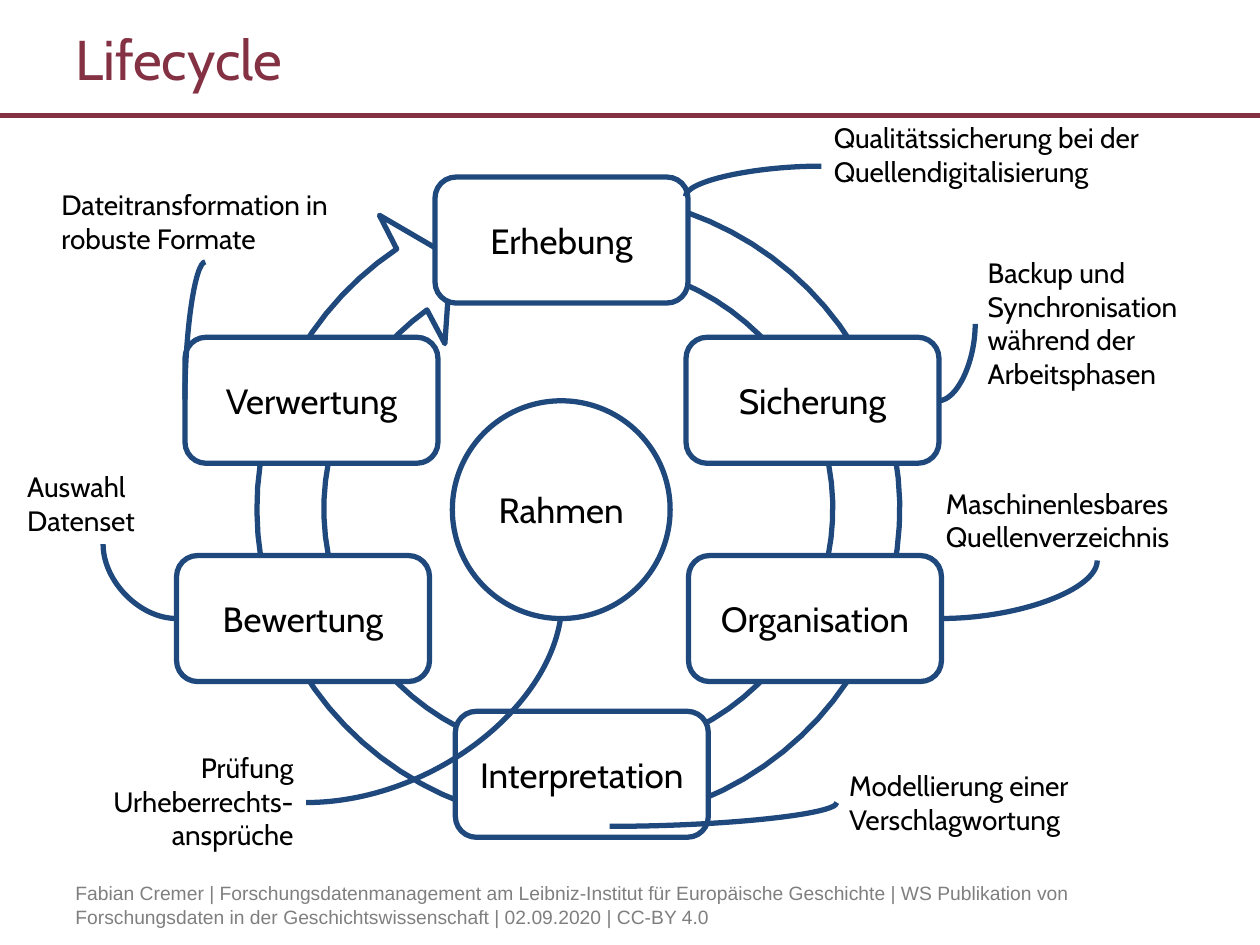
from math import cos, radians, sin

from lxml import etree
from pptx import Presentation
from pptx import util as u
from pptx.dml.color import RGBColor
from pptx.enum import shapes, text
from pptx.oxml.ns import qn

WINE, NAVY, WHITE, BLACK, GREY = "843144", "1F497D", "FFFFFF", "000000", "7F7F7F"
LEFT, CENTER, RIGHT = (text.PP_ALIGN.LEFT, text.PP_ALIGN.CENTER, text.PP_ALIGN.RIGHT)
TOP, MIDDLE = text.MSO_ANCHOR.TOP, text.MSO_ANCHOR.MIDDLE


def colour(hex_string):
    """Turn a hex string into a colour."""
    return RGBColor.from_string(hex_string)


def arc(centre, radii, start, end, steps=72):
    """Return points along an elliptical arc, angles in degrees."""
    angles = [radians(start + (end - start) * i / steps) for i in range(steps + 1)]
    return [(centre[0] + radii[0] * cos(a), centre[1] + radii[1] * sin(a))
            for a in angles]


class Sketch:
    """Holds the style and the current slide."""

    font = "Cabin"
    stroke = 3

    def __init__(self, slide):
        """Remember the slide to draw on."""
        self.slide = slide

    def fill_text(self, frame, words, size, ink=BLACK, align=LEFT, anchor=TOP,
                  font=None):
        """Fill a text frame, one paragraph for each line of words."""
        for name, value in {"word_wrap": True, "vertical_anchor": anchor,
                            "text": words}.items():
            setattr(frame, name, value)
        for paragraph in frame.paragraphs:
            paragraph.alignment = align
            face = paragraph.runs[0].font
            for name, value in {"size": u.Pt(size), "name": font or self.font}.items():
                setattr(face, name, value)
            face.color.rgb = colour(ink)

    def label(self, box, words, size, **style):
        """Add a plain text box."""
        area = self.slide.shapes.add_textbox(*map(u.Cm, box))
        self.fill_text(area.text_frame, words, size, **style)

    def outline(self, shape):
        """Give a shape the white fill and blue outline."""
        shape.shadow.inherit = False
        shape.fill.solid()
        shape.fill.fore_color.rgb = colour(WHITE)
        shape.line.color.rgb = colour(NAVY)
        shape.line.width = u.Pt(self.stroke)

    def node(self, kind, box, words):
        """Add an outlined preset shape with centred text."""
        shape = self.slide.shapes.add_shape(kind, *map(u.Cm, box))
        self.outline(shape)
        self.fill_text(shape.text_frame, words, 20, align=CENTER, anchor=MIDDLE)

    def polygon(self, points):
        """Add an outlined closed freeform."""
        corners = [(u.Cm(x), u.Cm(y)) for x, y in points]
        builder = self.slide.shapes.build_freeform(*corners[0])
        builder.add_line_segments(corners[1:], close=True)
        self.outline(builder.convert_to_shape())

    def line(self, ends, ink=NAVY, width=stroke, curved=False):
        """Add a straight line, or a quarter curve leaving horizontally."""
        kind = shapes.MSO_CONNECTOR.CURVE if curved else shapes.MSO_CONNECTOR.STRAIGHT
        link = self.slide.shapes.add_connector(kind, *map(u.Cm, ends))
        link.line.color.rgb = colour(ink)
        link.line.width = u.Pt(width)
        properties = link._element.spPr
        if curved:
            properties.find(qn("a:prstGeom")).set("prst", "curvedConnector2")
        etree.SubElement(properties, qn("a:effectLst"))


deck = Presentation()
deck.slide_width, deck.slide_height = u.Cm(25.4), u.Cm(19.05)
sketch = Sketch(deck.slides.add_slide(deck.slide_layouts[6]))

sketch.line((0, 2.33, 25.4, 2.33), ink=WINE, width=2.5)
sketch.label((1.27, 0, 19.53, 2.33), "Lifecycle", 32, ink=WINE, anchor=MIDDLE)

# Ring arrow running clockwise behind the stages
hub = (11.66, 10.26)
arrowhead = [(7.65, 4.34), (9.09, 5.18), (8.97, 6.93)]
sketch.polygon(arc(hub, (6.48, 6.35), -74.5, 235.6) + arrowhead
               + arc(hub, (5.13, 4.99), 233.5, -74.5))

stages = {
    "Erhebung": (8.77, 3.57),
    "Sicherung": (13.83, 6.8),
    "Organisation": (13.88, 11.2),
    "Interpretation": (9.18, 14.34),
    "Bewertung": (3.56, 11.2),
    "Verwertung": (3.73, 6.8),
}
for stage, corner in stages.items():
    sketch.node(shapes.MSO_SHAPE.ROUNDED_RECTANGLE, (*corner, 5.1, 2.54), stage)

# Each note: words, text area, curve, alignment
notes = [
    ("Qualitätssicherung bei der Quellendigitalisierung",
     (16.56, 2.31, 8.84, 1.6), (16.56, 3.35, 13.82, 3.96), LEFT),
    ("Backup und Synchronisation während der Arbeitsphasen",
     (19.66, 5.03, 5.74, 2.97), (18.92, 8.08, 19.66, 6.53), LEFT),
    ("Modellierung einer Verschlagwortung",
     (16.87, 15.37, 6.2, 1.6), (12.29, 16.66, 16.87, 16.18), LEFT),
    ("Maschinenlesbares Quellenverzeichnis",
     (18.82, 9.68, 6.63, 1.6), (18.97, 12.47, 22.12, 11.3), LEFT),
    ("Dateitransformation in robuste Formate",
     (0.99, 3.66, 6.3, 1.6), (4.14, 5.28, 3.73, 8.05), LEFT),
    ("Prüfung\nUrheberrechts-ansprüche",
     (1.27, 15.01, 4.9, 2.29), (6.17, 16.18, 11.33, 12.09), RIGHT),
    ("Auswahl\nDatenset",
     (0.3, 9.35, 3.56, 1.6), (3.56, 12.47, 2.08, 10.97), LEFT),
]
for words, area, curve, align in notes:
    sketch.label(area, words, 16, align=align)
    sketch.line(curve, curved=True)

sketch.node(shapes.MSO_SHAPE.OVAL, (9.12, 8.08, 4.39, 4.39), "Rahmen")

sketch.label((1.27, 17.65, 22.86, 1.02),
             "Fabian Cremer | Forschungsdatenmanagement am Leibniz-Institut für "
             "Europäische Geschichte | WS Publikation von Forschungsdaten in der "
             "Geschichtswissenschaft | 02.09.2020 | CC-BY 4.0",
             11, ink=GREY, font="Arial")

deck.save("out.pptx")
